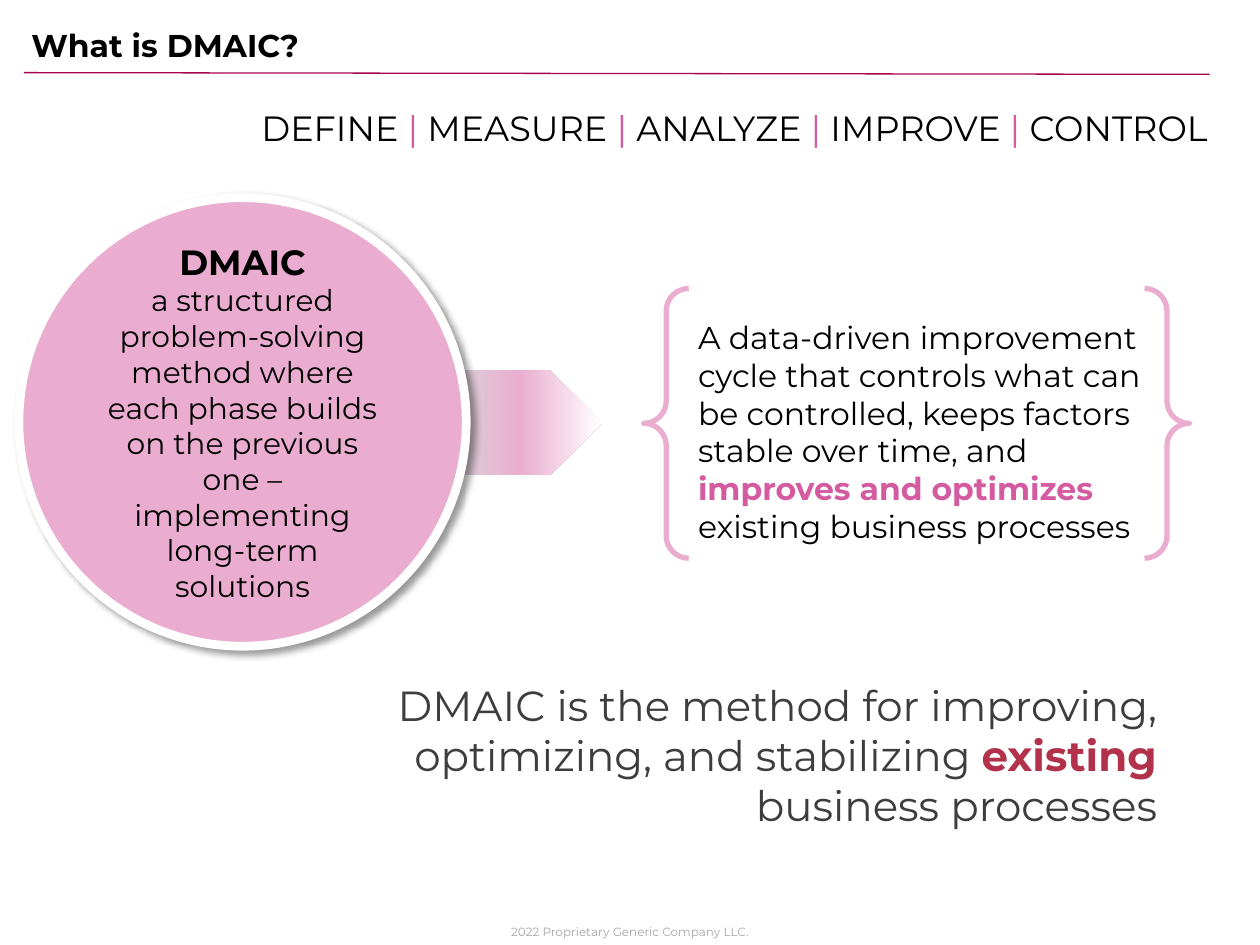
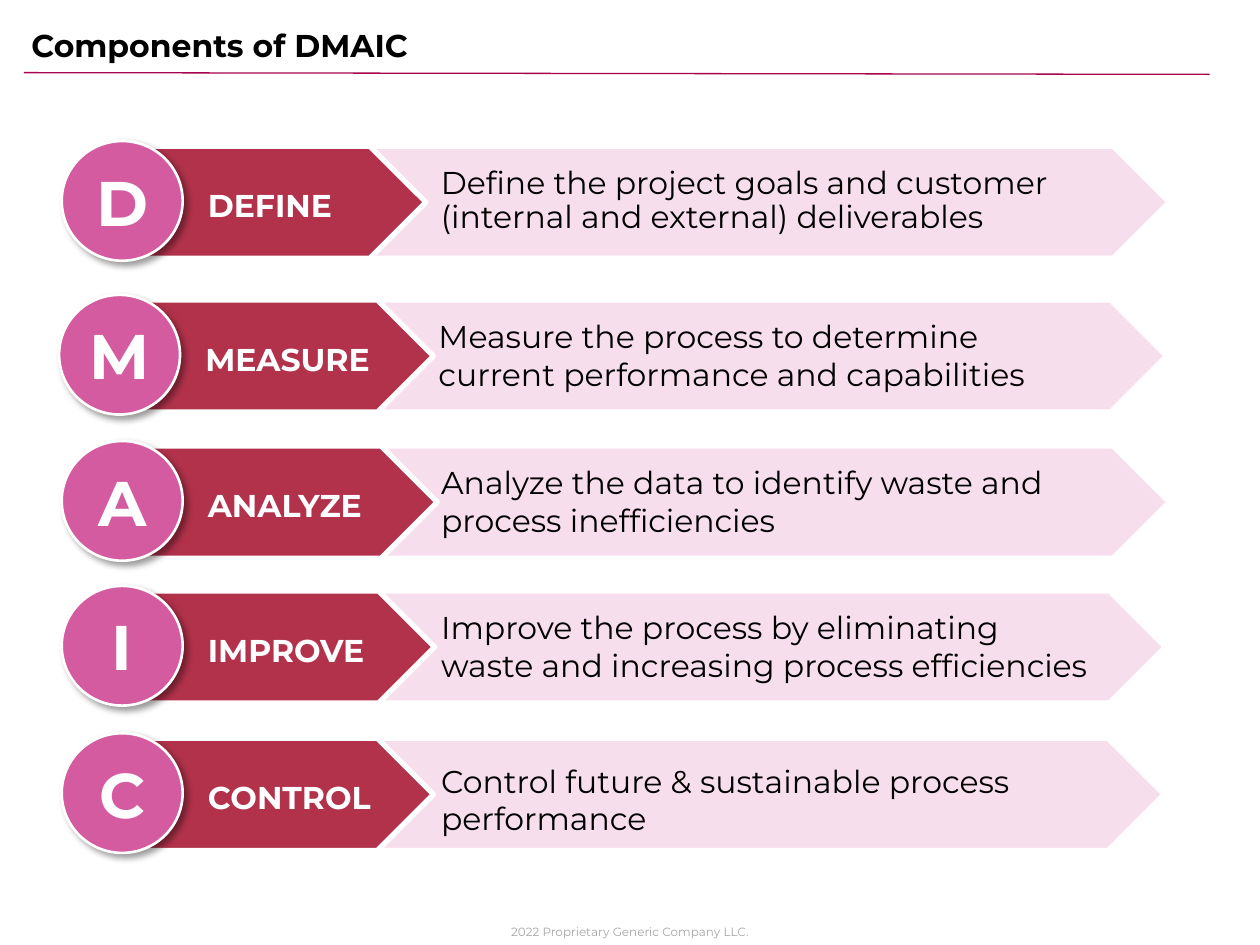
import copy
import dataclasses
import typing

import lxml.etree
import pptx
import pptx.dml.color
import pptx.enum.shapes
import pptx.enum.text
import pptx.oxml.ns
import pptx.slide
import pptx.util

Pt = pptx.util.Pt
RGB = pptx.dml.color.RGBColor
Kind = pptx.enum.shapes.MSO_SHAPE
Align = pptx.enum.text.PP_ALIGN
Anchor = pptx.enum.text.MSO_ANCHOR
qn = pptx.oxml.ns.qn

# Colours and font
BLACK = RGB(0x00, 0x00, 0x00)
WHITE = RGB(0xFF, 0xFF, 0xFF)
SLATE = RGB(0x3D, 0x3D, 0x3D)
GREY = RGB(0xA6, 0xA6, 0xA6)
SILVER = RGB(0xD8, 0xD8, 0xD8)
WINE = RGB(0xA8, 0x03, 0x4F)
RED = RGB(0xB2, 0x32, 0x4B)
PINK = RGB(0xD4, 0x5B, 0x9F)
ROSE = RGB(0xEA, 0xAD, 0xCF)
BLUSH = RGB(0xF6, 0xDE, 0xEC)
FONT = "Montserrat"
FOOTER = "2022 Proprietary Generic Company LLC."


@dataclasses.dataclass(frozen=True)
class Box:
    left: float
    top: float
    width: float
    height: float

    def sides(self) -> list[int]:
        return [Pt(side) for side in dataclasses.astuple(self)]


@dataclasses.dataclass(frozen=True)
class Span:
    text: str
    tint: RGB = BLACK
    bold: bool = False
    size: float = 18


@dataclasses.dataclass(frozen=True)
class Step:
    name: str
    lines: tuple[str, ...]
    top: float
    disc: float      # left of the letter disc
    tag: float       # left of the red plate
    bar: float       # left of the pale plate
    label: float     # width of the name
    drop: float      # text top below plate top
    width: float
    height: float = 54
    pitch: float = 1


Lines = typing.Sequence[typing.Sequence[Span]]

STEPS = (
    Step("DEFINE", ("Define the project goals and customer "
                    "(internal and external) deliverables",),
         83.5, 35.3, 68.4, 161.3, 91.4, 7.2, 410.4, 49, 0.9),
    Step("MEASURE", ("Measure the process to determine "
                     "current performance and capabilities",),
         171.4, 33.8, 72.7, 159.8, 121.7, 4.3, 395.3),
    Step("ANALYZE", ("Analyze the data to identify waste and",
                     "process inefficiencies"),
         254.9, 35.3, 74.9, 161.3, 118.8, 4.3, 394.6),
    Step("IMPROVE", ("Improve the process by eliminating "
                     "waste and increasing process efficiencies",),
         337.7, 35.3, 73.4, 159.1, 121.7, 4.3, 391.7),
    Step("CONTROL", ("Control future & sustainable process performance",),
         421.9, 35.3, 72.7, 158.4, 117.4, 7.9, 391.7),
)


def apply(item: typing.Any, values: dict[str, typing.Any]) -> None:
    for key, value in values.items():
        setattr(item, key, value)


def write(frame: typing.Any, lines: Lines, align: Align = Align.LEFT,
          pitch: float = 1, **form: typing.Any) -> None:
    """Fill a text frame, one list of spans a line."""
    apply(frame, {"word_wrap": True, **form})
    for place, spans in enumerate(lines):
        para = frame.add_paragraph() if place else frame.paragraphs[0]
        apply(para, {"alignment": align, "line_spacing": pitch})
        for span in spans:
            run = para.add_run()
            run.text = span.text
            apply(run.font, {"name": FONT, "size": Pt(span.size),
                             "bold": span.bold})
            run.font.color.rgb = span.tint


def add_text(slide: pptx.slide.Slide, box: Box, lines: Lines,
             align: Align = Align.LEFT) -> None:
    write(slide.shapes.add_textbox(*box.sides()).text_frame, lines, align)


def add_form(slide: pptx.slide.Slide, kind: Kind, box: Box,
             fill: RGB | None = None, line: RGB | None = None,
             weight: float = 1) -> typing.Any:
    form = slide.shapes.add_shape(kind, *box.sides())
    form.shadow.inherit = False
    if fill is None:
        form.fill.background()
    else:
        form.fill.solid()
        form.fill.fore_color.rgb = fill
    if line is None:
        form.line.fill.background()
    else:
        form.line.color.rgb = line
        form.line.width = Pt(weight)
    return form


def add_disc(slide: pptx.slide.Slide, box: Box, fill: RGB, weight: float,
             lines: Lines) -> None:
    """White-rimmed disc with a soft shadow."""
    disc = add_form(slide, Kind.OVAL, box, fill, WHITE, weight)
    glow = lxml.etree.SubElement(
        disc._element.spPr.find(qn("a:effectLst")), qn("a:outerShdw"),
        blurRad=str(Pt(4)), dist=str(Pt(3)), dir="2700000",
        algn="tl", rotWithShape="0")
    tint = lxml.etree.SubElement(glow, qn("a:srgbClr"), val=str(BLACK))
    lxml.etree.SubElement(tint, qn("a:alpha"), val="40000")
    write(disc.text_frame, lines, Align.CENTER, vertical_anchor=Anchor.MIDDLE)


def add_label(slide: pptx.slide.Slide, box: Box, lines: Lines,
              pitch: float) -> None:
    label = add_form(slide, Kind.ROUNDED_RECTANGLE, box)
    label.adjustments[0] = 0.1
    write(label.text_frame, lines, pitch=pitch, vertical_anchor=Anchor.MIDDLE)


def add_fade(slide: pptx.slide.Slide, box: Box,
             stops: typing.Sequence[tuple[float, RGB]]) -> None:
    """Arrow plate with a left-to-right gradient."""
    plate = add_form(slide, Kind.PENTAGON, box)
    plate.fill.gradient()
    plate.fill.gradient_angle = 0
    group = plate._element.spPr.find(qn("a:gradFill")).find(qn("a:gsLst"))
    while len(group) < len(stops):
        group.append(copy.deepcopy(group[0]))
    for stop, (place, tint) in zip(plate.fill.gradient_stops, stops):
        stop.position = place
        stop.color.rgb = tint


def start(deck: typing.Any, title: str) -> pptx.slide.Slide:
    """New slide with footer, rule and title."""
    slide = deck.slides.add_slide(deck.slide_layouts[6])
    add_text(slide, Box(279.4, 524.9, 161.3, 15.1),
             [[Span(FOOTER, GREY, size=6.8)]], Align.CENTER)
    rule = slide.shapes.add_connector(
        pptx.enum.shapes.MSO_CONNECTOR.STRAIGHT,
        Pt(13.7), Pt(41.5), Pt(691.2), Pt(42.5))
    rule.line.color.rgb = WINE
    rule.line.width = Pt(0.75)
    lxml.etree.SubElement(rule._element.spPr, qn("a:effectLst"))
    add_text(slide, Box(10.8, 11.5, 550, 28.8), [[Span(title, bold=True)]])
    return slide


def draw_method(deck: typing.Any) -> None:
    slide = start(deck, "What is DMAIC?")

    # Closing line
    add_text(slide, Box(133.2, 384.5, 535, 94.3), [[
        Span("DMAIC is the method for improving, optimizing, and stabilizing ",
             SLATE, size=24),
        Span("existing", RED, True, 24),
        Span(" business processes", SLATE, size=24)]], Align.RIGHT)

    # Disc with its arrow behind
    add_fade(slide, Box(254.2, 211.7, 90, 59.8),
             [(0, SILVER), (0.48, ROSE), (1, WHITE)])
    add_disc(slide, Box(10.8, 113, 255.6, 256.3), ROSE, 5, [
        [Span("DMAIC", bold=True, size=20)],
        [Span("a structured problem-solving method where each phase builds on "
              "the previous one – implementing long-term solutions", size=17)]])

    # Braced summary
    brace = add_form(slide, Kind.DOUBLE_BRACE, Box(367.9, 164.9, 311.8, 154.1),
                     line=ROSE, weight=3)
    write(brace.text_frame, [[
        Span("A data-driven improvement cycle that controls what can be "
             "controlled, keeps factors stable over time, and "),
        Span("improves and optimizes ", PINK, True),
        Span("existing business processes")]],
        vertical_anchor=Anchor.MIDDLE, margin_left=Pt(14.4), margin_right=0,
        margin_top=0, margin_bottom=Pt(3.6))

    # Row of step names
    names = []
    for step in STEPS:
        if names:
            names.append(Span(" | ", PINK, size=20))
        names.append(Span(step.name, size=20))
    add_text(slide, Box(133.2, 57.6, 573.1, 31.7), [names], Align.CENTER)


def draw_steps(deck: typing.Any) -> None:
    slide = start(deck, "Components of DMAIC")
    for step in STEPS:
        # Plates, pale one behind
        for left, width, fill in ((step.bar, 506.9, BLUSH),
                                  (step.tag, 175, RED)):
            add_form(slide, Kind.PENTAGON, Box(left, step.top, width, 64.1),
                     fill, WHITE, 3)
        # Text, letter and name
        add_label(slide, Box(step.disc + 208.1, step.top + step.drop,
                             step.width, step.height),
                  [[Span(line)] for line in step.lines], step.pitch)
        add_disc(slide, Box(step.disc, step.top - 2.9, 69.1, 68.4), PINK, 1.5,
                 [[Span(step.name[0], WHITE, True, 36)]])
        add_label(slide, Box(step.disc + 75.6, step.top + 20.5,
                             step.label, 28.8),
                  [[Span(step.name, WHITE, True)]], 0.9)


def main() -> None:
    deck = pptx.Presentation()
    apply(deck, {"slide_width": Pt(720), "slide_height": Pt(540)})
    draw_method(deck)
    draw_steps(deck)
    deck.save("out.pptx")


if __name__ == "__main__":
    main()
